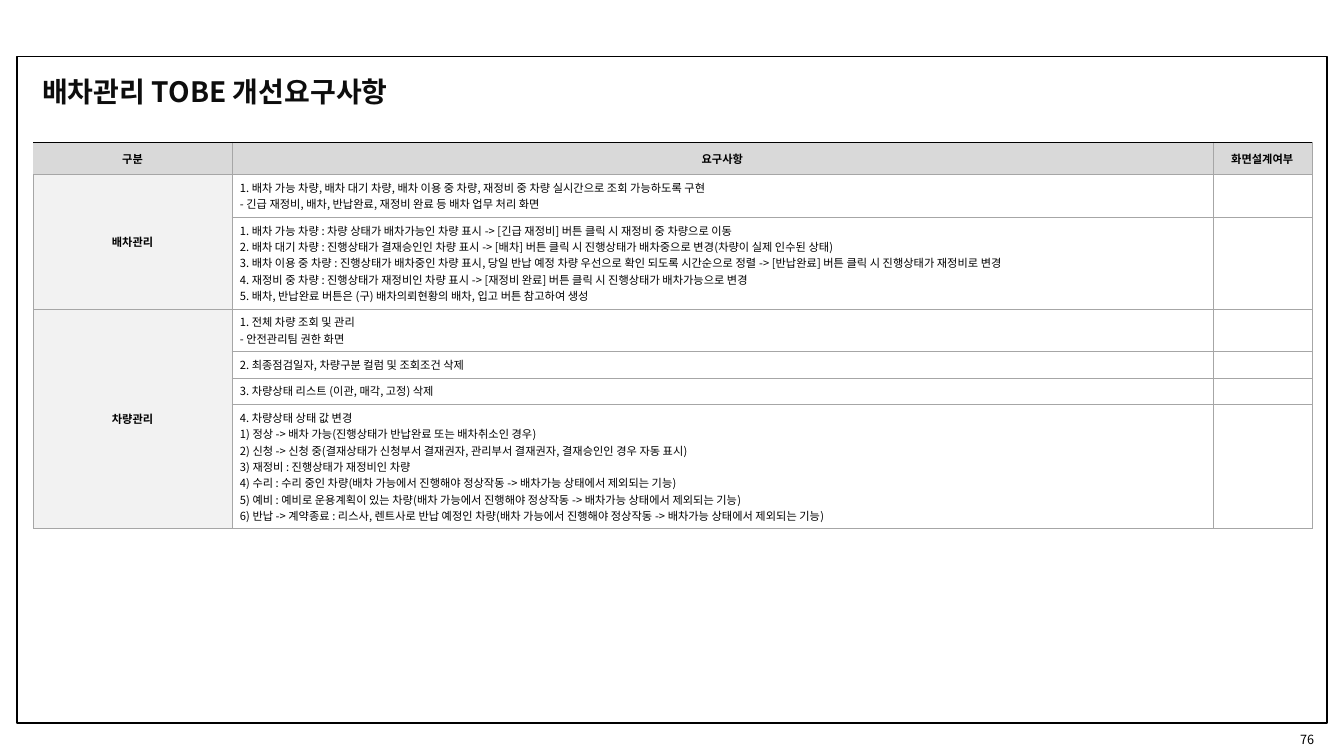
from lxml import etree
from pptx import Presentation
from pptx.dml.color import RGBColor
from pptx.enum.shapes import MSO_CONNECTOR, MSO_SHAPE
from pptx.enum.text import MSO_ANCHOR, MSO_AUTO_SIZE, PP_ALIGN
from pptx.oxml.ns import qn
from pptx.util import Inches, Pt

LEFT, CENTER, RIGHT = PP_ALIGN.LEFT, PP_ALIGN.CENTER, PP_ALIGN.RIGHT
MIDDLE = MSO_ANCHOR.MIDDLE
FONT = "Noto Sans CJK KR"
COLORS = {
    "black": "000000",
    "title": "0D0D0D",
    "header": "D9D9D9",
    "group": "F2F2F2",
    "white": "FFFFFF",
    "border": "A6A6A6",
}
HEADINGS = ["구분", "요구사항", "화면설계여부"]
COLUMN_WIDTHS = [1.97, 9.73, 0.98]
GROUPS = {
    "배차관리": [
        [
            "1. 배차 가능 차량, 배차 대기 차량, 배차 이용 중 차량, 재정비 중 차량 실시간으로 조회 가능하도록 구현",
            "- 긴급 재정비, 배차, 반납완료, 재정비 완료 등 배차 업무 처리 화면",
        ],
        [
            "1. 배차 가능 차량 : 차량 상태가 배차가능인 차량 표시 -> [긴급 재정비] 버튼 클릭 시 재정비 중 차량으로 이동",
            "2. 배차 대기 차량 : 진행상태가 결재승인인 차량 표시 -> [배차] 버튼 클릭 시 진행상태가 배차중으로 변경(차량이 실제 인수된 상태)",
            "3. 배차 이용 중 차량 : 진행상태가 배차중인 차량 표시, 당일 반납 예정 차량 우선으로 확인 되도록 시간순으로 정렬 -> [반납완료] 버튼 클릭 시 진행상태가 재정비로 변경",
            "4. 재정비 중 차량 : 진행상태가 재정비인 차량 표시 -> [재정비 완료] 버튼 클릭 시 진행상태가 배차가능으로 변경",
            "5. 배차, 반납완료 버튼은 (구) 배차의뢰현황의 배차, 입고 버튼 참고하여 생성",
        ],
    ],
    "차량관리": [
        ["1. 전체 차량 조회 및 관리", "- 안전관리팀 권한 화면"],
        ["2. 최종점검일자, 차량구분 컬럼 및 조회조건 삭제"],
        ["3. 차량상태 리스트 (이관, 매각, 고정) 삭제"],
        [
            "4. 차량상태 상태 값 변경",
            "1) 정상 -> 배차 가능(진행상태가 반납완료 또는 배차취소인 경우)",
            "2) 신청 -> 신청 중(결재상태가 신청부서 결재권자, 관리부서 결재권자, 결재승인인 경우 자동 표시)",
            "3) 재정비 : 진행상태가 재정비인 차량",
            "4) 수리 : 수리 중인 차량(배차 가능에서 진행해야 정상작동 -> 배차가능 상태에서 제외되는 기능)",
            "5) 예비 : 예비로 운용계획이 있는 차량(배차 가능에서 진행해야 정상작동 -> 배차가능 상태에서 제외되는 기능)",
            "6) 반납 -> 계약종료 : 리스사, 렌트사로 반납 예정인 차량(배차 가능에서 진행해야 정상작동 -> 배차가능 상태에서 제외되는 기능)",
        ],
    ],
}


def write(frame, lines, size, color="black", bold=False, align=LEFT):
    frame.text = "\n".join(lines)
    for paragraph in frame.paragraphs:
        paragraph.alignment = align
        font = paragraph.font
        font.name, font.size, font.bold = FONT, Pt(size), bold
        font.color.rgb = RGBColor.from_string(COLORS[color])
        defaults = paragraph._p.pPr.find(qn("a:defRPr"))
        etree.SubElement(defaults, qn("a:ea"), typeface=FONT)
        if not paragraph.text:
            etree.SubElement(paragraph._p, qn("a:endParaRPr"), sz=str(size * 100))


def style_cell(cell, fill, sides):
    """Set margins, thin borders on the given sides, then the fill."""
    cell.vertical_anchor = MIDDLE
    cell.margin_left = cell.margin_right = Inches(0.08)
    cell.margin_top = cell.margin_bottom = Inches(0.05)
    properties = cell._tc.get_or_add_tcPr()
    for side in "LRTB":
        shown = side in sides
        border = etree.SubElement(properties, qn(f"a:ln{side}"), w=str(Pt(0.25)))
        paint = etree.SubElement(border, qn("a:solidFill" if shown else "a:noFill"))
        if shown:
            etree.SubElement(paint, qn("a:srgbClr"), val=COLORS["border"])
    cell.fill.solid()
    cell.fill.fore_color.rgb = RGBColor.from_string(COLORS[fill])


prs = Presentation()
prs.slide_width, prs.slide_height = Inches(13.33), Inches(7.5)
slide = prs.slides.add_slide(prs.slide_layouts[6])
shapes = slide.shapes

page_frame = shapes.add_shape(
    MSO_SHAPE.RECTANGLE, Inches(0.17), Inches(0.56), Inches(12.99), Inches(6.61)
)
page_frame.shadow.inherit = False
page_frame.fill.background()
page_frame.line.color.rgb = RGBColor.from_string(COLORS["black"])
page_frame.line.width = Pt(1.3)

page_number = shapes.add_textbox(Inches(12.44), Inches(7.18), Inches(0.69), Inches(0.31)).text_frame
page_number.word_wrap = True
page_number.vertical_anchor = MIDDLE
write(page_number, ["76"], 9, align=RIGHT)

requirements = [lines for group in GROUPS.values() for lines in group]
row_heights = [0.32] + [0.1 + 0.162 * len(lines) for lines in requirements]
table = shapes.add_table(
    len(row_heights), len(HEADINGS), Inches(0.33), Inches(1.41),
    Inches(sum(COLUMN_WIDTHS)), Inches(sum(row_heights)),
).table
table.first_row = table.horz_banding = False
for column, width in zip(table.columns, COLUMN_WIDTHS):
    column.width = Inches(width)
for row, height in zip(table.rows, row_heights):
    row.height = Inches(height)

for index, heading in enumerate(HEADINGS):
    cell = table.cell(0, index)
    write(cell.text_frame, [heading], 8, bold=True, align=CENTER)
    style_cell(cell, "header", "LRTB" if index else "RTB")

for row, lines in enumerate(requirements, start=1):
    for index, content in enumerate([[""], lines, [""]]):
        cell = table.cell(row, index)
        write(cell.text_frame, content, 8)
        style_cell(cell, "white" if index else "group", "LRTB")

first_row = 1
for name, group in GROUPS.items():
    group_cell = table.cell(first_row, 0)
    group_cell.merge(table.cell(first_row + len(group) - 1, 0))
    write(group_cell.text_frame, [name], 8, bold=True, align=CENTER)
    first_row += len(group)

title = shapes.add_textbox(Inches(0.32), Inches(0.69), Inches(3.8), Inches(0.44)).text_frame
title.word_wrap = False
title.auto_size = MSO_AUTO_SIZE.SHAPE_TO_FIT_TEXT
title.vertical_anchor = MIDDLE
write(title, ["배차관리 TOBE 개선요구사항"], 20, "title", bold=True)

top_rule = shapes.add_connector(
    MSO_CONNECTOR.STRAIGHT, Inches(0.33), Inches(1.41), Inches(13.01), Inches(1.41)
)
top_rule.line.color.rgb = RGBColor.from_string(COLORS["black"])
top_rule.line.width = Pt(0.5)
etree.SubElement(top_rule._element.spPr, qn("a:effectLst"))

prs.save("out.pptx")
